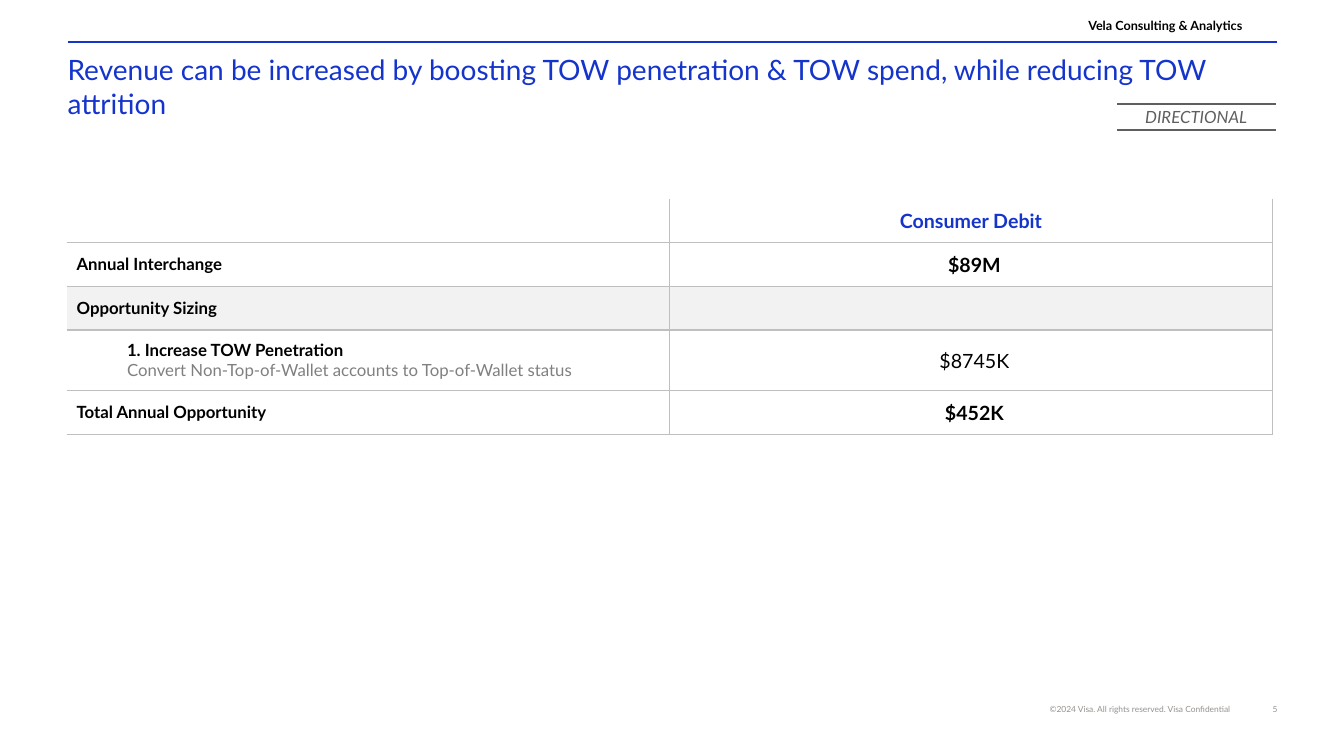
from lxml import etree
from pptx import Presentation
from pptx.dml.color import RGBColor
from pptx.enum.shapes import MSO_CONNECTOR
from pptx.enum.text import MSO_ANCHOR, MSO_AUTO_SIZE, PP_ALIGN
from pptx.oxml.ns import qn
from pptx.util import Inches, Pt

LEFT, CENTER, RIGHT = PP_ALIGN.LEFT, PP_ALIGN.CENTER, PP_ALIGN.RIGHT
TOP, MIDDLE, BOTTOM = MSO_ANCHOR.TOP, MSO_ANCHOR.MIDDLE, MSO_ANCHOR.BOTTOM
NO_AUTOFIT = MSO_AUTO_SIZE.NONE
STRAIGHT = MSO_CONNECTOR.STRAIGHT
TITLE_ONLY = 5

FONT = "Lato"
BLUE, BLACK, WHITE = "1434CB", "000000", "FFFFFF"
STAMP_GRAY, FOOTER_GRAY, NOTE_GRAY = "5F5F5F", "96918D", "808080"
BORDER_GRAY, BAND_GRAY = "BFBFBF", "F2F2F2"

TABLE_LEFT, TABLE_TOP = 0.66, 1.97
COLUMN_WIDTH = 5.98
ROW_HEIGHTS = [0.435, 0.435, 0.435, 0.6, 0.435]
BAND_ROW = 2
# Row, column and paragraphs as (text, format)
TABLE_TEXT = [
    (0, 1, [("Consumer Debit", dict(size=14, color=BLUE, bold=True, align=CENTER))]),
    (1, 0, [("Annual Interchange", dict(bold=True))]),
    (2, 0, [("Opportunity Sizing", dict(bold=True))]),
    (3, 0, [("1. Increase TOW Penetration", dict(bold=True, indent=0.5)),
            ("Convert Non-Top-of-Wallet accounts to Top-of-Wallet status",
             dict(color=NOTE_GRAY, indent=0.5))]),
    (4, 0, [("Total Annual Opportunity", dict(bold=True))]),
]
# Text, top and weight of the amounts over the second column
AMOUNTS = [("$89M", 2.46, True), ("$8745K", 3.41, False), ("$452K", 3.93, True)]


def rgb(color):
    return RGBColor.from_string(color)


def write(paragraph, text, size=12, color=BLACK, bold=False, italic=False,
          align=LEFT, line_spacing=None, indent=0):
    if indent:
        properties = paragraph._p.get_or_add_pPr()
        properties.set("marL", str(Inches(indent)))
        properties.set("indent", "0")
    paragraph.alignment = align
    if line_spacing:
        paragraph.line_spacing = line_spacing
    run = paragraph.add_run()
    run.text = text
    run.font.name = FONT
    run.font.size = Pt(size)
    run.font.bold = bold
    run.font.italic = italic
    run.font.color.rgb = rgb(color)


def set_frame(frame, anchor, margins):
    """Margins run left, top, right, bottom, in inches."""
    frame.word_wrap = True
    frame.auto_size = NO_AUTOFIT
    frame.vertical_anchor = anchor
    (frame.margin_left, frame.margin_top,
     frame.margin_right, frame.margin_bottom) = map(Inches, margins)


def add_text(slide, box, text, anchor=TOP, margins=(0, 0, 0, 0), **text_format):
    shape = slide.shapes.add_textbox(*map(Inches, box))
    set_frame(shape.text_frame, anchor, margins)
    write(shape.text_frame.paragraphs[0], text, **text_format)


def add_rule(slide, left, right, y, color):
    line = slide.shapes.add_connector(
        STRAIGHT, Inches(left), Inches(y), Inches(right), Inches(y))
    line.line.color.rgb = rgb(color)
    line.line.width = Pt(1.5)
    etree.SubElement(line._element.spPr, qn("a:effectLst"))


def set_title(slide, text):
    title = slide.shapes.title
    title.left, title.top, title.width, title.height = map(Inches, (0.67, 0.52, 12, 0.26))
    set_frame(title.text_frame, TOP, (0, 0, 0, 0.1))
    write(title.text_frame.paragraphs[0], text, size=20, color=BLUE)


def set_borders(cell, visible_sides):
    properties = cell._tc.get_or_add_tcPr()
    for side in "LRTB":
        border = etree.SubElement(properties, qn(f"a:ln{side}"), w=str(Pt(1)))
        if side in visible_sides:
            fill = etree.SubElement(border, qn("a:solidFill"))
            etree.SubElement(fill, qn("a:srgbClr"), val=BORDER_GRAY)
        else:
            etree.SubElement(border, qn("a:noFill"))


def add_opportunity_table(slide):
    table = slide.shapes.add_table(
        len(ROW_HEIGHTS), 2, Inches(TABLE_LEFT), Inches(TABLE_TOP),
        Inches(2 * COLUMN_WIDTH), Inches(sum(ROW_HEIGHTS))).table
    table.first_row = table.horz_banding = False
    for column in table.columns:
        column.width = Inches(COLUMN_WIDTH)
    for row_index, height in enumerate(ROW_HEIGHTS):
        table.rows[row_index].height = Inches(height)
        for column_index in range(2):
            cell = table.cell(row_index, column_index)
            sides = "RB" + "T" * (row_index > 0) + "L" * (column_index > 0)
            set_borders(cell, sides)
            cell.fill.solid()
            cell.fill.fore_color.rgb = rgb(BAND_GRAY if row_index == BAND_ROW else WHITE)
            cell.vertical_anchor = MIDDLE
            cell.margin_left = cell.margin_right = Inches(0.1)
    for row_index, column_index, paragraphs in TABLE_TEXT:
        frame = table.cell(row_index, column_index).text_frame
        for index, (text, text_format) in enumerate(paragraphs):
            paragraph = frame.add_paragraph() if index else frame.paragraphs[0]
            write(paragraph, text, **text_format)


def main():
    presentation = Presentation()
    presentation.slide_width = Inches(13.33)
    presentation.slide_height = Inches(7.5)
    slide = presentation.slides.add_slide(presentation.slide_layouts[TITLE_ONLY])

    add_rule(slide, 0.67, 12.67, 0.42, BLUE)
    add_text(slide, (10.38, 0.19, 1.94, 0.14), "Vela Consulting & Analytics",
             anchor=BOTTOM, size=9, bold=True, align=RIGHT, line_spacing=0.9)
    set_title(slide, "Revenue can be increased by boosting TOW penetration & "
                     "TOW spend, while reducing TOW attrition")

    add_text(slide, (10.95, 0.99, 1.83, 0.33), "DIRECTIONAL", anchor=MIDDLE,
             color=STAMP_GRAY, italic=True, align=CENTER)
    for y in (1.03, 1.29):
        add_rule(slide, 11.08, 12.66, y, STAMP_GRAY)

    add_opportunity_table(slide)
    for text, top, bold in AMOUNTS:
        add_text(slide, (8.9, top, 1.53, 0.34), text, margins=(0.1, 0.05, 0.1, 0.05),
                 size=14, bold=bold, align=CENTER)

    footer = dict(size=6, color=FOOTER_GRAY, align=RIGHT)
    add_text(slide, (9.97, 6.99, 2.23, 0.1),
             "©2024 Visa. All rights reserved. Visa Confidential", anchor=BOTTOM, **footer)
    add_text(slide, (12.24, 6.99, 0.43, 0.1), "5", **footer)

    presentation.save("out.pptx")


if __name__ == "__main__":
    main()
